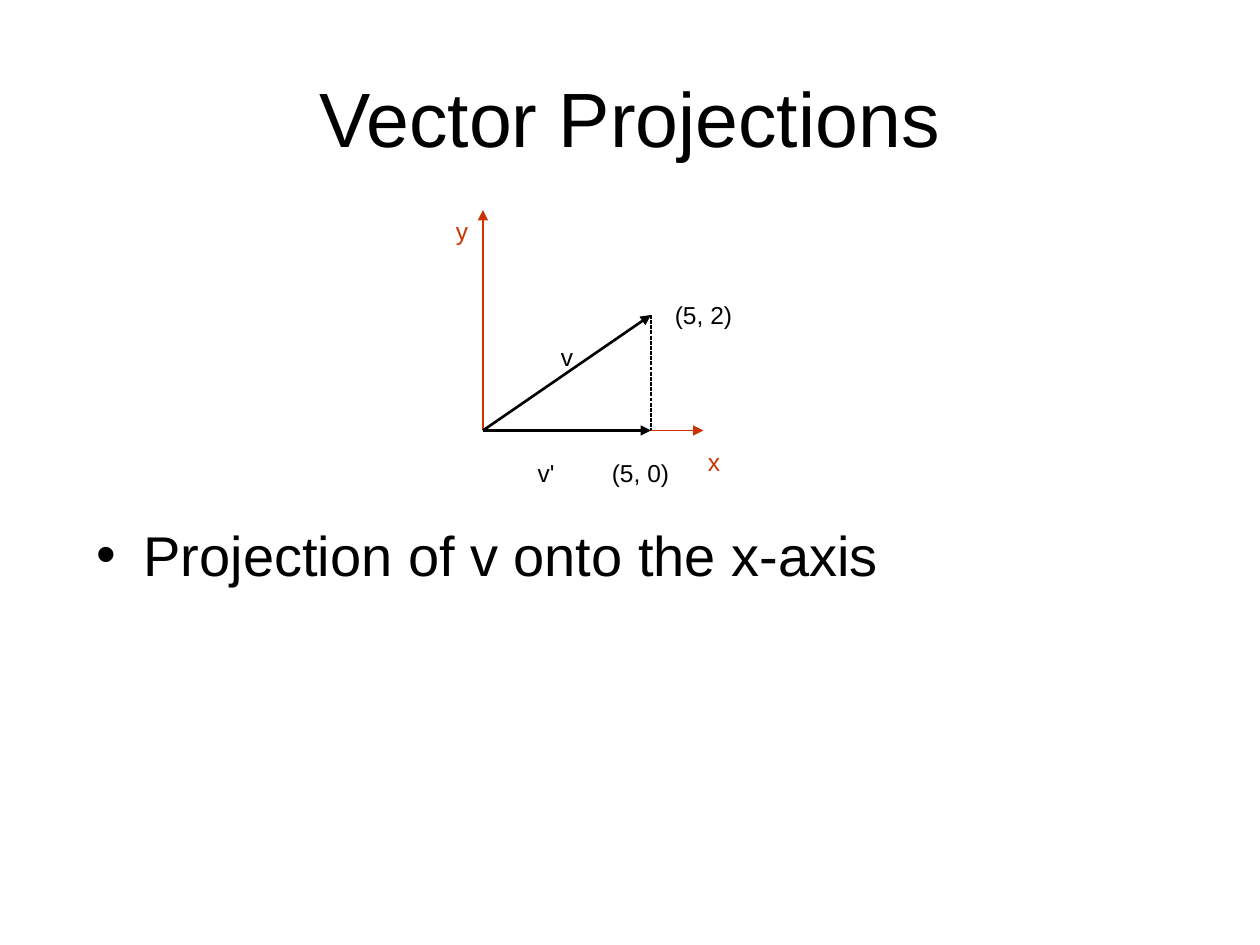
from lxml.etree import SubElement
from pptx import Presentation
from pptx.dml.color import RGBColor
from pptx.enum.dml import MSO_LINE
from pptx.enum.shapes import MSO_CONNECTOR
from pptx.enum.text import MSO_ANCHOR, PP_ALIGN
from pptx.oxml.ns import qn
from pptx.util import Pt

BLACK = RGBColor(0x00, 0x00, 0x00)
RED = RGBColor(0xCC, 0x33, 0x00)

# Content, in points
TITLE = "Vector Projections"
BULLET = "Projection of v onto the x-axis"

ORIGIN = (276, 246)
TIP = (372, 180)
FOOT = (TIP[0], ORIGIN[1])
Y_END = (ORIGIN[0], 120)
X_END = (402, ORIGIN[1])

# start, end, colour, width, arrowhead, dash
LINES = [
    (ORIGIN, Y_END, RED, 0.75, True, None),
    (ORIGIN, X_END, RED, 0.75, True, None),
    (ORIGIN, TIP, BLACK, 1.5, True, None),
    (TIP, FOOT, BLACK, 0.75, False, MSO_LINE.SQUARE_DOT),
    (ORIGIN, FOOT, BLACK, 1.5, True, None),
]

# text, left, top, size of the box, colour
SMALL, WIDE = (12, 12), (48, 18)
LABELS = [
    ("x", 402, 252, SMALL, RED),
    ("y", 258, 120, SMALL, RED),
    ("(5, 2)", 378, 168, WIDE, BLACK),
    ("(5, 0)", 342, 258, WIDE, BLACK),
    ("v", 318, 192, SMALL, BLACK),
    ("v'", 306, 258, SMALL, BLACK),
]


def add_text(slide, text, left, top, width, height, size, color, wrap=True):
    box = slide.shapes.add_textbox(Pt(left), Pt(top), Pt(width), Pt(height))
    frame = box.text_frame
    frame.word_wrap = wrap
    paragraph = frame.paragraphs[0]
    paragraph.text = text
    paragraph.font.name = "Arial"
    paragraph.font.size = Pt(size)
    paragraph.font.color.rgb = color
    return frame


def add_bullet(paragraph, indent):
    properties = paragraph._p.get_or_add_pPr()
    properties.set("marL", str(Pt(indent)))
    properties.set("indent", str(-Pt(indent)))
    # Bullet elements come before the default run properties
    font = properties.find(qn("a:defRPr"))
    for tag, name, value in (("a:buFont", "typeface", "Arial"),
                             ("a:buChar", "char", "•")):
        element = SubElement(properties, qn(tag))
        element.set(name, value)
        font.addprevious(element)


def add_line(slide, start, end, color, width, arrowhead, dash):
    connector = slide.shapes.add_connector(
        MSO_CONNECTOR.STRAIGHT, *(Pt(value) for value in start + end))
    connector.line.color.rgb = color
    connector.line.width = Pt(width)
    if dash:
        connector.line.dash_style = dash
    if arrowhead:
        line = connector.line._get_or_add_ln()
        SubElement(line, qn("a:tailEnd")).set("type", "triangle")
    SubElement(connector._element.spPr, qn("a:effectLst"))


presentation = Presentation()
presentation.slide_width = Pt(720)
presentation.slide_height = Pt(540)
slide = presentation.slides.add_slide(presentation.slide_layouts[6])

# Title
title = add_text(slide, TITLE, 36, 21.6, 648, 90, 44, BLACK)
title.vertical_anchor = MSO_ANCHOR.MIDDLE
title.paragraphs[0].alignment = PP_ALIGN.CENTER

# Bullet
body = add_text(slide, BULLET, 48, 294, 606, 188.5, 32, BLACK)
add_bullet(body.paragraphs[0], 27)

# Axes, vectors and the dotted drop line
for line in LINES:
    add_line(slide, *line)

# Labels, centred in boxes without side margins so that each fits on one line
for text, left, top, box_size, color in LABELS:
    label = add_text(slide, text, left, top, *box_size, 14, color, wrap=False)
    label.margin_left = label.margin_right = 0
    label.paragraphs[0].alignment = PP_ALIGN.CENTER

presentation.save("out.pptx")
